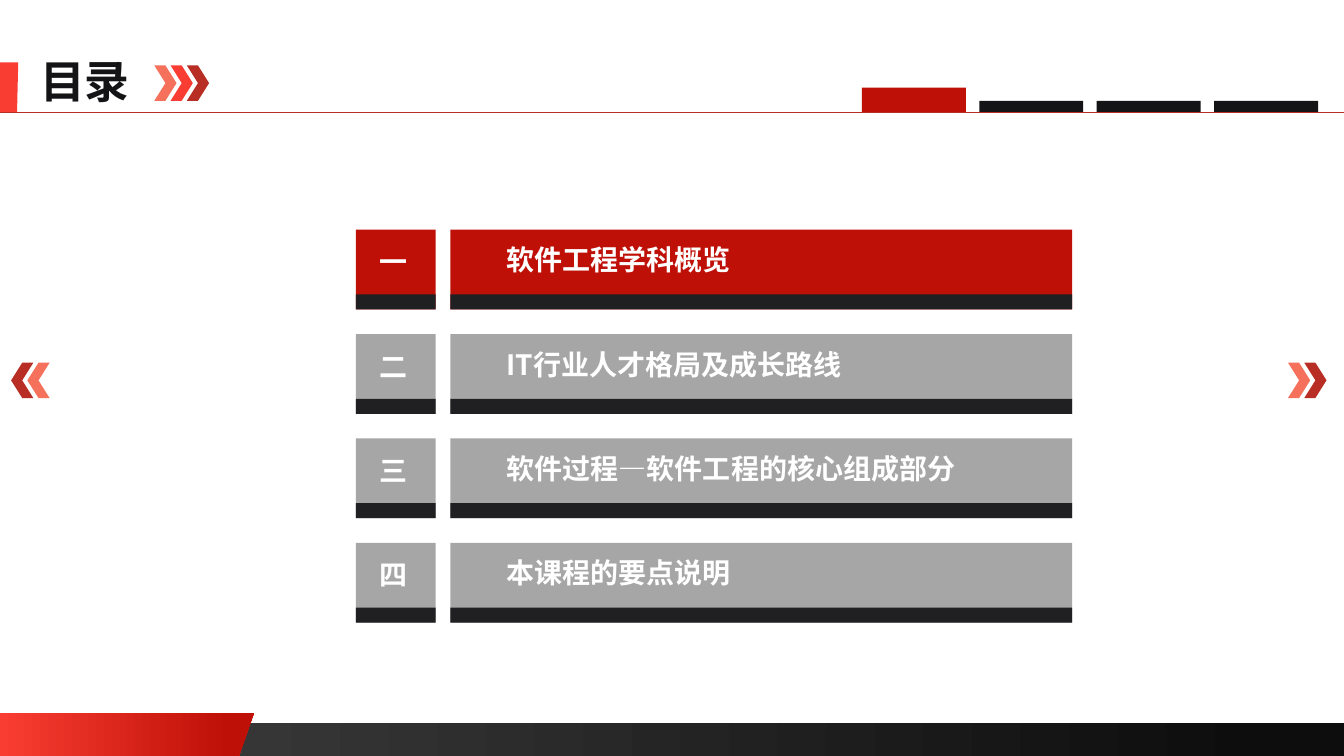
import pptx
import pptx.util
import pptx.oxml
from pptx.dml.color import RGBColor
from pptx.enum.shapes import MSO_CONNECTOR, MSO_SHAPE
from pptx.enum.text import MSO_ANCHOR, PP_ALIGN
from pptx.oxml.ns import qn

Cm = pptx.util.Cm

TITLE = "目录"
CHAPTERS = [
    ("一", "软件工程学科概览"),
    ("二", "IT行业人才格局及成长路线"),
    ("三", "软件过程—软件工程的核心组成部分"),
    ("四", "本课程的要点说明"),
]
ACTIVE = 0
FONT = "Noto Sans CJK SC"
COLORS = {
    "coral": "F5715B", "red": "F93D32", "brick": "B82E24", "crimson": "BE1007",
    "ink": "141316", "strip": "202022", "grey": "A6A6A6", "white": "FFFFFF",
    "charcoal": "404040", "black": "0D0D0D",
}

# Lengths in centimetres
WIDTH, HEIGHT = 33.87, 19.05
RULE_Y = 2.82
CHEVRON_STEP = 0.41
CHEVRON_GROUPS = [  # left, top, rotation, colours
    (3.89, 1.65, 0, ["coral", "red", "brick"]),
    (32.46, 9.14, 0, ["coral", "brick"]),
    (0.28, 9.14, 180, ["brick", "coral"]),
]
TAB_LEFT, TAB_STEP, TAB_WIDTH = 21.72, 2.96, 2.62
ROW_TOP, ROW_STEP, ROW_HEIGHT = 5.79, 2.63, 2.01
STRIP_HEIGHT = 0.38
COLUMNS = [(8.97, 2.01), (11.35, 15.67)]  # left, width


def color(name):
    return RGBColor.from_string(COLORS[name])


def paint(shape, *names, end=1):
    """Fill with one colour, or with a left-to-right gradient of two."""
    shape.shadow.inherit = False
    shape.line.fill.background()
    if len(names) == 1:
        shape.fill.solid()
        shape.fill.fore_color.rgb = color(names[0])
        return
    shape.fill.gradient()
    shape.fill.gradient_angle = 0
    for stop, name, position in zip(shape.fill.gradient_stops, names, (0, end)):
        stop.color.rgb = color(name)
        stop.position = position


def add_preset(slide, kind, left, top, width, height, *names, end=1):
    shape = slide.shapes.add_shape(kind, Cm(left), Cm(top), Cm(width), Cm(height))
    paint(shape, *names, end=end)
    return shape


def add_outline(slide, points, *names, end=1):
    corners = [(Cm(x), Cm(y)) for x, y in points]
    builder = slide.shapes.build_freeform(*corners[0], scale=1.0)
    builder.add_line_segments(corners[1:], close=True)
    paint(builder.convert_to_shape(), *names, end=end)


def add_text(slide, text, left, top, width, height, size, name, align=PP_ALIGN.LEFT):
    box = slide.shapes.add_textbox(Cm(left), Cm(top), Cm(width), Cm(height))
    frame = box.text_frame
    frame.text = text
    frame.word_wrap = False
    frame.vertical_anchor = MSO_ANCHOR.TOP
    para = frame.paragraphs[0]
    para.alignment = align
    span = para.runs[0]
    span.font.size = pptx.util.Pt(size)
    span.font.bold = True
    span.font.color.rgb = color(name)
    span.font.name = FONT
    east_asian = pptx.oxml.parse_xml(
        '<a:ea xmlns:a="http://schemas.openxmlformats.org/drawingml/2006/main"/>')
    east_asian.set("typeface", FONT)
    span.font._element.find(qn("a:latin")).addnext(east_asian)


def add_rule(slide):
    rule = slide.shapes.add_connector(
        MSO_CONNECTOR.STRAIGHT, 0, Cm(RULE_Y), Cm(WIDTH), Cm(RULE_Y))
    rule.line.color.rgb = color("brick")
    rule.line.width = pptx.util.Pt(0.5)
    rule._element.spPr.append(pptx.oxml.parse_xml(
        '<a:effectLst xmlns:a="http://schemas.openxmlformats.org/drawingml/2006/main"/>'))


def add_frame(slide):
    """Footer, title line, chevrons and progress tabs."""
    add_preset(slide, MSO_SHAPE.RECTANGLE, 0, 18.21, WIDTH, 0.84,
               "charcoal", "black", end=0.94)
    add_outline(slide, [(0, 17.96), (6.4, 17.96), (6.02, HEIGHT), (0, HEIGHT)],
                "red", "crimson", end=0.91)
    add_outline(slide, [(0, 1.57), (0.46, 1.57), (0.43, 2.84), (0, 2.84)], "red")
    add_text(slide, TITLE, 0.76, 1.24, 2.79, 1.63, 32, "ink")
    add_rule(slide)
    for left, top, rotation, names in CHEVRON_GROUPS:
        for index, name in enumerate(names):
            chevron = add_preset(slide, MSO_SHAPE.CHEVRON, left + index * CHEVRON_STEP,
                                 top, 0.56, 0.89, name)
            chevron.rotation = rotation
    for index in range(len(CHAPTERS)):
        height, name = (0.61, "crimson") if index == ACTIVE else (0.28, "ink")
        add_preset(slide, MSO_SHAPE.RECTANGLE, TAB_LEFT + index * TAB_STEP,
                   RULE_Y - height, TAB_WIDTH, height, name)


def add_chapter(slide, index, number, heading):
    top = ROW_TOP + index * ROW_STEP
    name = "crimson" if index == ACTIVE else "grey"
    for left, width in COLUMNS:
        add_preset(slide, MSO_SHAPE.RECTANGLE, left, top, width, ROW_HEIGHT, name)
        add_preset(slide, MSO_SHAPE.RECTANGLE, left, top + ROW_HEIGHT - STRIP_HEIGHT,
                   width, STRIP_HEIGHT, "strip")
    add_text(slide, number, 9.32, top + 0.25, 1.22, 1.12, 20, "white", PP_ALIGN.CENTER)
    add_text(slide, heading, 12.52, top + 0.2, 12, 1.12, 20, "white")


def main():
    deck = pptx.Presentation()
    deck.slide_width, deck.slide_height = Cm(WIDTH), Cm(HEIGHT)
    slide = deck.slides.add_slide(deck.slide_layouts[6])
    add_frame(slide)
    for index, (number, heading) in enumerate(CHAPTERS):
        add_chapter(slide, index, number, heading)
    deck.save("out.pptx")


if __name__ == "__main__":
    main()
